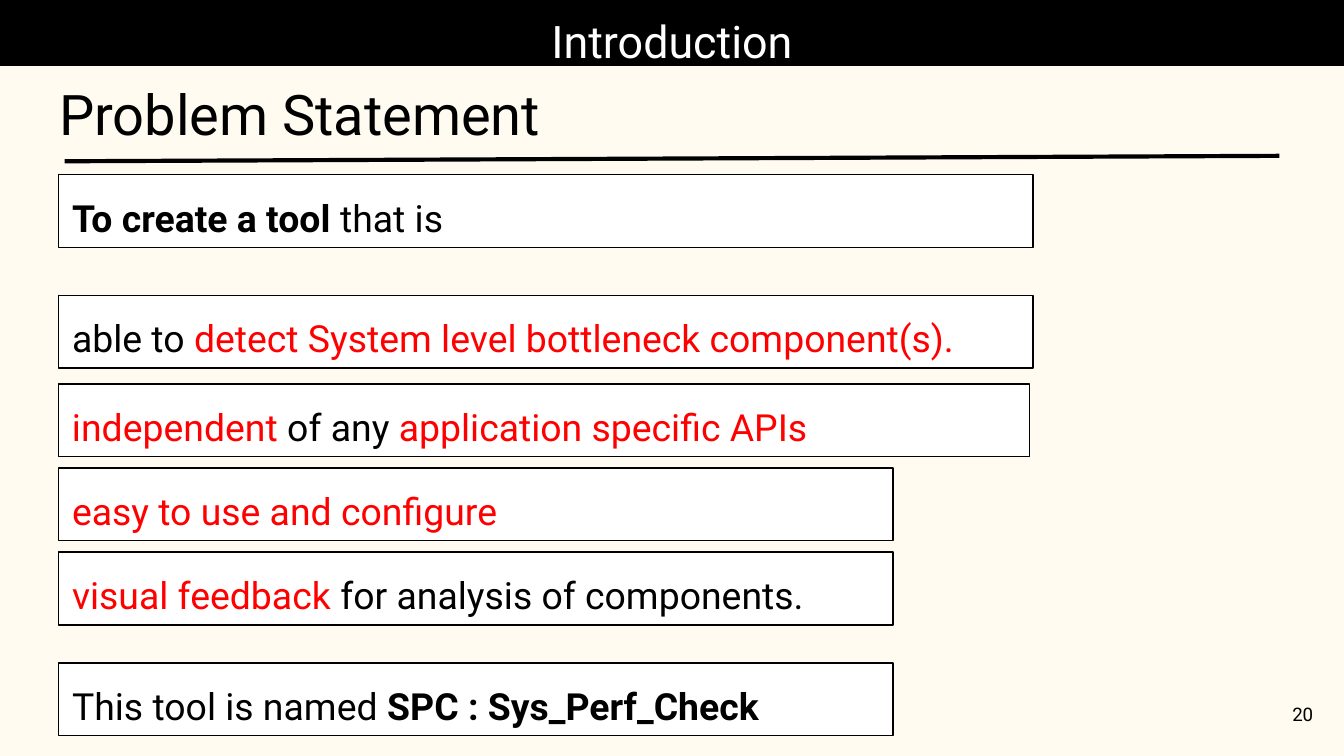
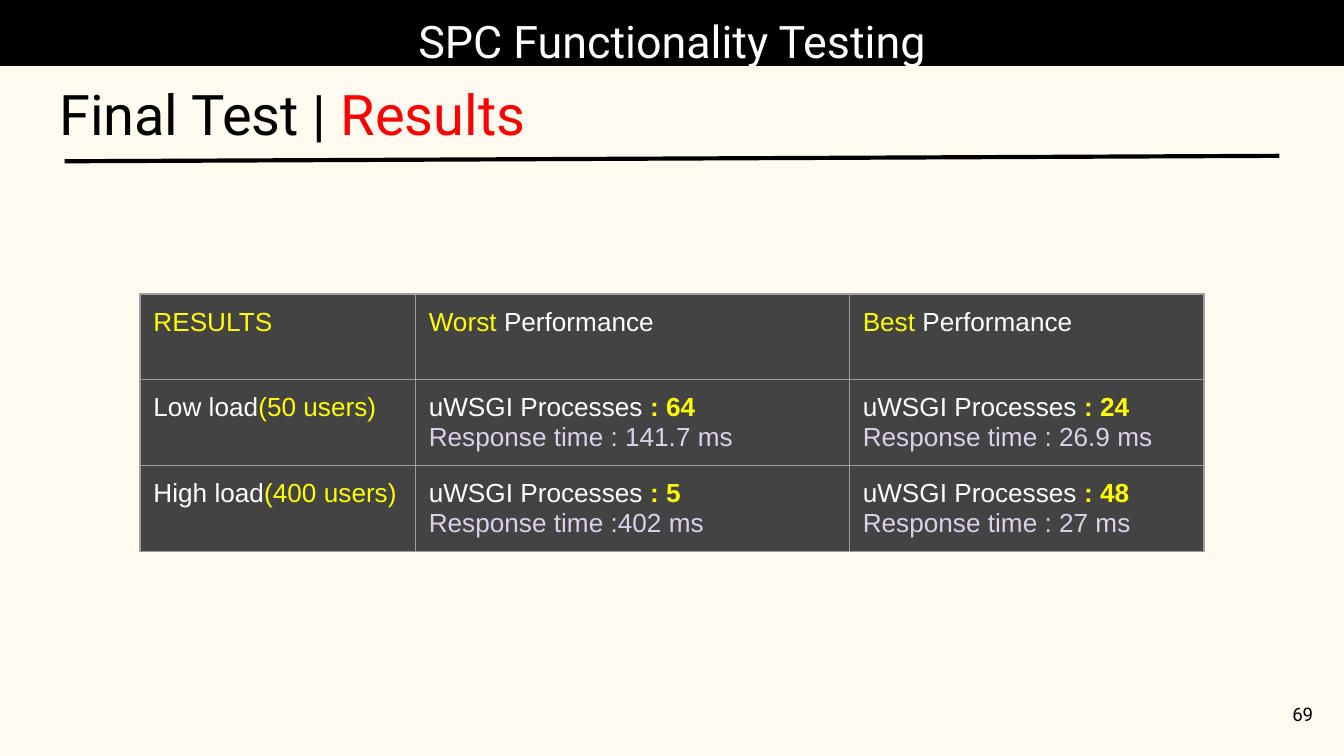
import pptx
import pptx.dml.color
import pptx.enum.shapes
import pptx.enum.text
import pptx.oxml
import pptx.oxml.ns
import pptx.util
import lxml.etree

Pt = pptx.util.Pt
Align = pptx.enum.text.PP_ALIGN
Anchor = pptx.enum.text.MSO_ANCHOR

COLOURS = {
    "cream": "FFFBF0",
    "black": "000000",
    "white": "FFFFFF",
    "red": "FF0000",
    "yellow": "FFFF00",
    "lilac": "D9D2E9",
    "charcoal": "434343",
    "grey": "9E9E9E",
}
INSET = 7.2


def colour(name):
    """Return the named colour as an RGB value."""
    return pptx.dml.color.RGBColor.from_string(COLOURS[name])


class SlideBuilder:
    """Hold the deck's style and the current slide."""

    def __init__(self):
        """Start a deck with the shared size and background."""
        self.deck = pptx.Presentation()
        self.deck.slide_width, self.deck.slide_height = Pt(720), Pt(405)
        self.paint(self.deck.slide_master.background, "cream")
        self.page = None

    def paint(self, item, name):
        """Give an item a solid fill."""
        item.fill.solid()
        item.fill.fore_color.rgb = colour(name)

    def place(self, shape, left, top, width, height):
        """Move and size a shape."""
        shape.left, shape.top = Pt(left), Pt(top)
        shape.width, shape.height = Pt(width), Pt(height)

    def set_inset(self, item):
        """Give a text frame or cell equal margins."""
        item.margin_left = item.margin_right = Pt(INSET)
        item.margin_top = item.margin_bottom = Pt(INSET)

    def fill_frame(self, frame, spans, size, align=Align.LEFT,
                   anchor=Anchor.TOP, spacing=1.0, after=0):
        """Set up a text frame and add one paragraph of spans."""
        frame.word_wrap = True
        frame.auto_size = pptx.enum.text.MSO_AUTO_SIZE.NONE
        frame.vertical_anchor = anchor
        self.set_inset(frame)
        self.add_text(frame, [spans], size, "Roboto", align, spacing, after)

    def add_text(self, frame, paragraphs, size, font, align=Align.LEFT,
                 spacing=1.0, after=0):
        """Add paragraphs made of (text, colour, bold) spans."""
        for index, spans in enumerate(paragraphs):
            para = frame.add_paragraph() if index else frame.paragraphs[0]
            para.alignment = align
            para.line_spacing = spacing
            para.space_before, para.space_after = Pt(0), Pt(after)
            for text, name, *bold in spans:
                span = para.add_run()
                span.text = text
                span.font.name = font
                span.font.size = Pt(size)
                span.font.bold = bool(bold)
                span.font.color.rgb = colour(name)

    def start(self, section, heading, number):
        """Add a slide with its band, heading, rule and page number."""
        self.page = self.deck.slides.add_slide(self.deck.slide_layouts[0])
        title, band = self.page.placeholders
        self.place(title, 24.5, 35.3, 652, 48)
        self.fill_frame(title.text_frame, heading, 30)
        self.place(band, 0, 0, 720, 35.3)
        self.paint(band, "black")
        self.fill_frame(band.text_frame, [(section, "white")], 24, Align.CENTER)
        self.rule(34.6, 86.4, 685.4, 83.5)
        box = self.page.shapes.add_textbox(Pt(667.4), Pt(367.2), Pt(43.2), Pt(31))
        self.fill_frame(box.text_frame, [(str(number), "black")], 10,
                        Align.RIGHT, Anchor.MIDDLE)

    def rule(self, left, top, right, bottom):
        """Draw the line below the heading."""
        line = self.page.shapes.add_connector(
            pptx.enum.shapes.MSO_CONNECTOR.STRAIGHT,
            Pt(left), Pt(top), Pt(right), Pt(bottom))
        line.line.color.rgb = colour("black")
        line.line.width = Pt(2.25)
        lxml.etree.SubElement(line._element.spPr, pptx.oxml.ns.qn("a:effectLst"))

    def statement(self, top, width, spans):
        """Add an outlined white box holding one statement."""
        box = self.page.shapes.add_shape(
            pptx.enum.shapes.MSO_SHAPE.RECTANGLE,
            Pt(31.5), Pt(top), Pt(width), Pt(39))
        box.shadow.inherit = False
        self.paint(box, "white")
        box.line.color.rgb = colour("black")
        box.line.width = Pt(0.75)
        self.fill_frame(box.text_frame, spans, 20, spacing=1.15, after=16)

    def border(self, cell):
        """Draw thin grey lines on every side of a cell."""
        properties = cell._tc.get_or_add_tcPr()
        for side in ("lnL", "lnR", "lnT", "lnB"):
            line = lxml.etree.SubElement(
                properties, pptx.oxml.ns.qn("a:" + side), w=str(int(Pt(0.75))))
            fill = lxml.etree.SubElement(line, pptx.oxml.ns.qn("a:solidFill"))
            lxml.etree.SubElement(
                fill, pptx.oxml.ns.qn("a:srgbClr"), val=COLOURS["grey"])

    def table(self, left, top, widths, row_height, rows):
        """Add a dark table whose cells hold lists of paragraphs."""
        grid = self.page.shapes.add_table(
            len(rows), len(widths), Pt(left), Pt(top),
            Pt(sum(widths)), Pt(row_height * len(rows))).table
        for column, width in zip(grid.columns, widths):
            column.width = Pt(width)
        for row, contents in zip(grid.rows, rows):
            row.height = Pt(row_height)
            for cell, paragraphs in zip(row.cells, contents):
                self.set_inset(cell)
                self.border(cell)
                self.paint(cell, "charcoal")
                self.add_text(cell.text_frame, paragraphs, 14, "Arial")


def load_level(name, users):
    """Return the label cell of a load level."""
    return [[(name, "white"), (f"({users} users)", "yellow")]]


def performance(kind):
    """Return the header cell of a performance column."""
    return [[(kind + " ", "yellow"), ("Performance", "white")]]


def result(processes, response):
    """Return the cell for one test result."""
    return [
        [("uWSGI Processes ", "white"), (f": {processes}", "yellow", True)],
        [(f"Response time :{response} ms", "lilac")],
    ]


def main():
    """Build both slides and save the deck."""
    builder = SlideBuilder()

    builder.start("Introduction", [("Problem Statement", "black")], 20)
    statements = [
        (93.6, 522, [("To create a tool ", "black", True), ("that is", "black")]),
        (158.2, 522, [("able to ", "black"),
                      ("detect System level bottleneck component(s).", "red")]),
        (205.7, 520, [("independent", "red"), (" of any ", "black"),
                      ("application specific APIs", "red")]),
        (250.7, 447, [("easy to use and configure", "red")]),
        (295.8, 447, [("visual feedback ", "red"),
                      ("for analysis of components.", "black")]),
        (355.2, 447, [("This tool is named ", "black"),
                      ("SPC : Sys_Perf_Check", "black", True)]),
    ]
    for top, width, spans in statements:
        builder.statement(top, width, spans)

    builder.start("SPC Functionality Testing",
                  [("Final Test | ", "black"), ("Results", "red")], 69)
    builder.table(75, 157.5, [147.5, 232.5, 190], 46, [
        [[[("RESULTS", "yellow")]], performance("Worst"), performance("Best")],
        [load_level("Low load", 50), result(64, " 141.7"), result(24, " 26.9")],
        [load_level("High load", 400), result(5, "402"), result(48, " 27")],
    ])

    builder.deck.save("out.pptx")


if __name__ == "__main__":
    main()
